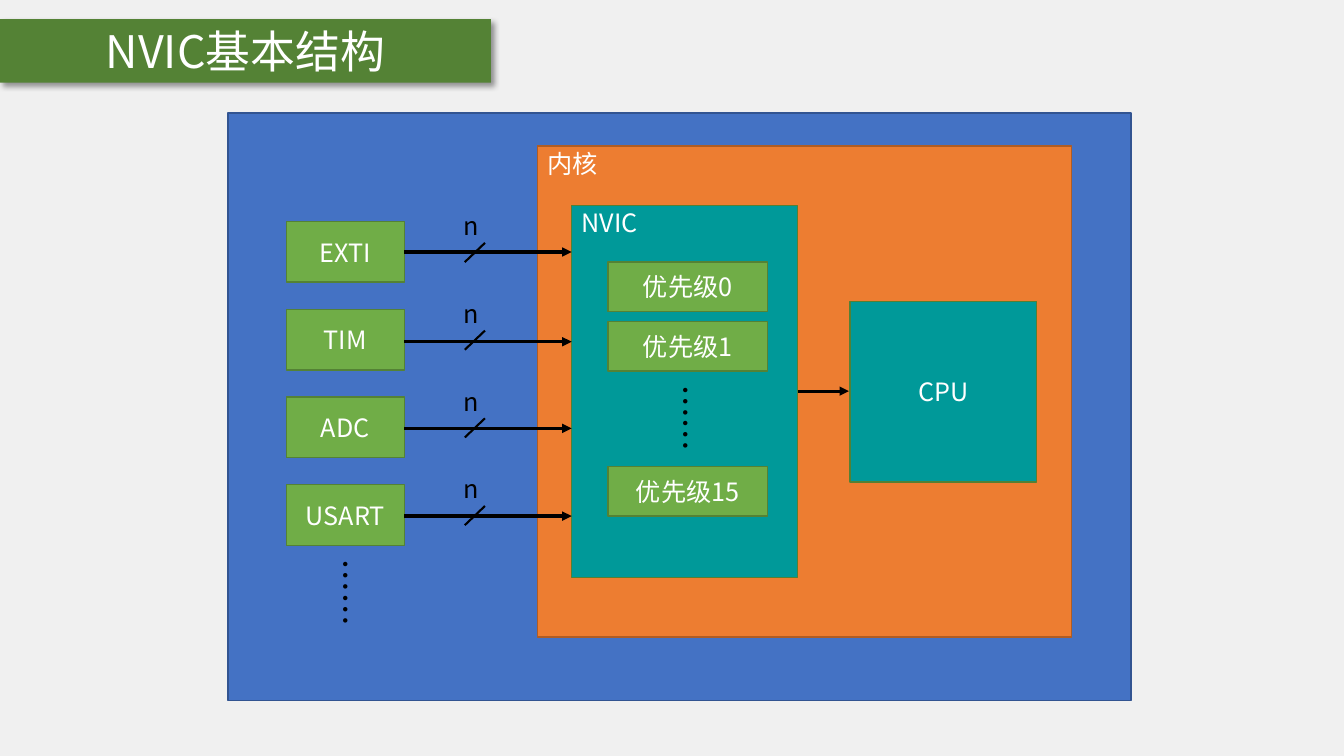
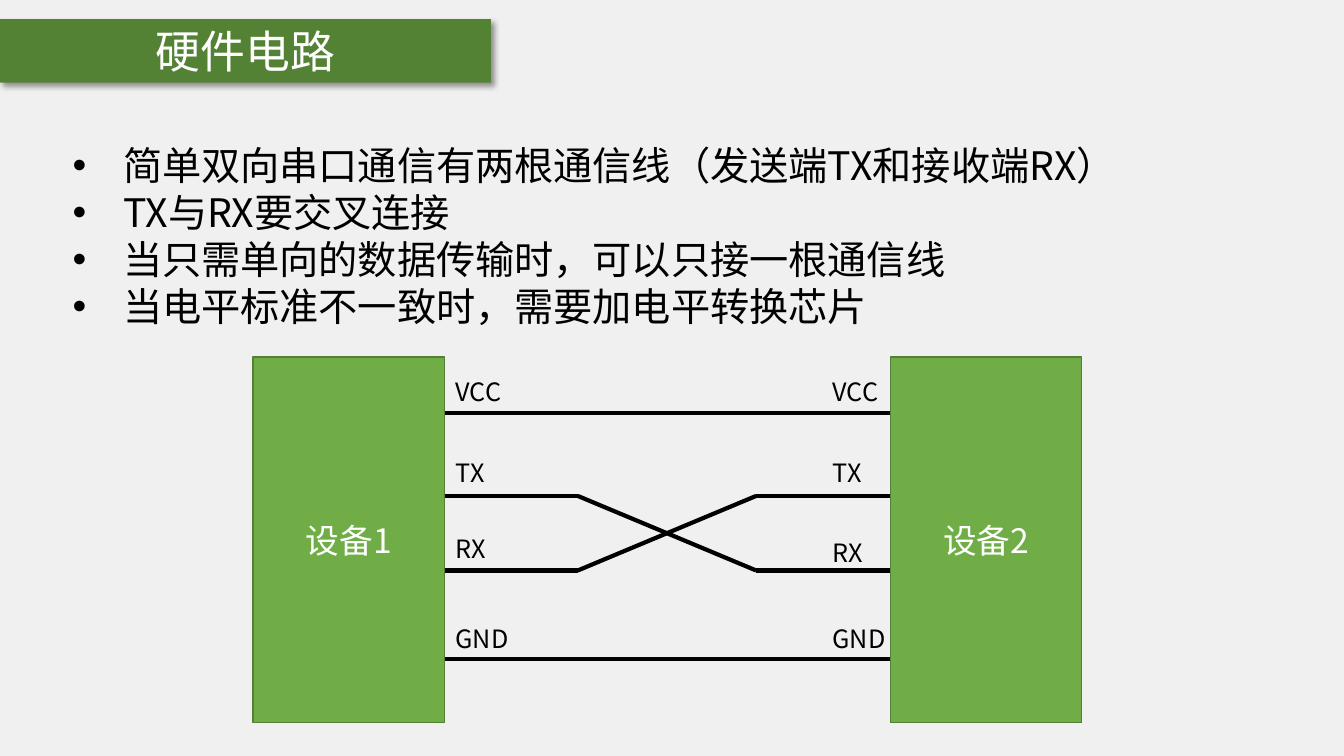
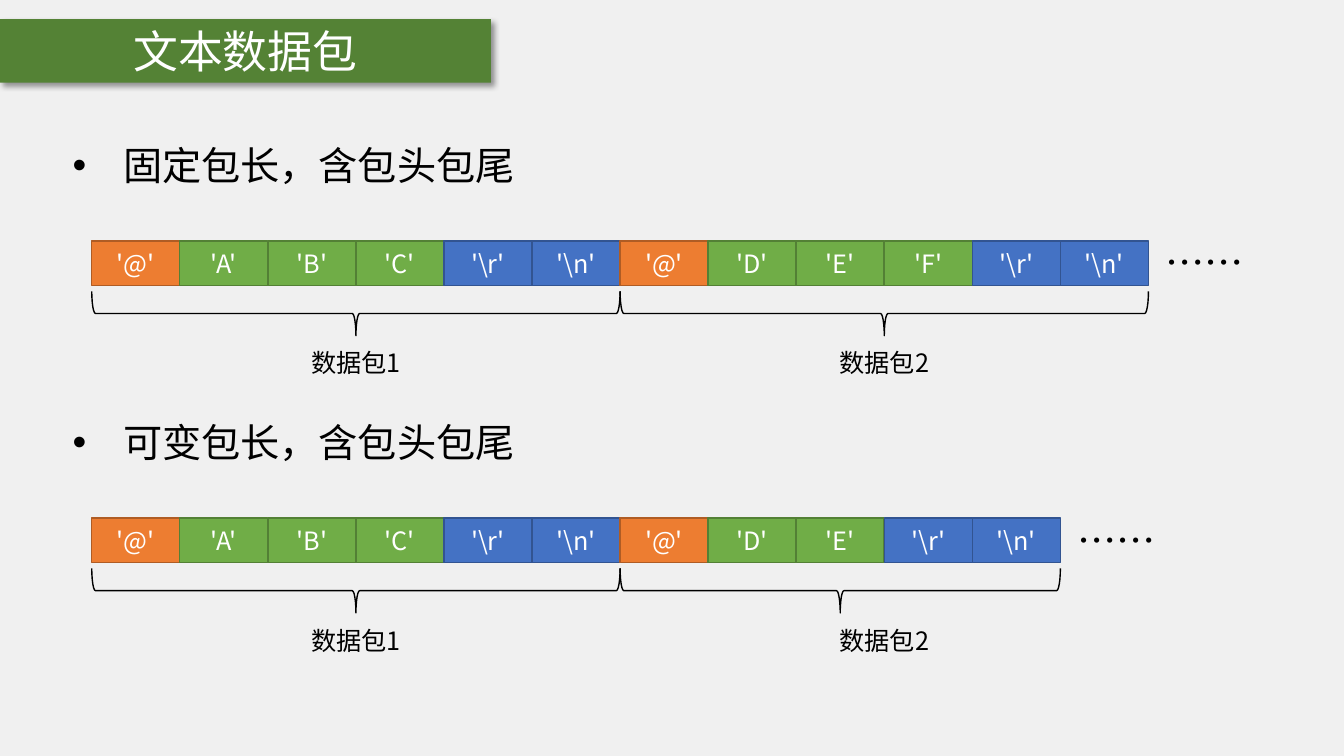
from lxml import etree
from pptx import Presentation
from pptx.dml.color import RGBColor
from pptx.enum.shapes import MSO_CONNECTOR, MSO_SHAPE
from pptx.enum.text import MSO_ANCHOR, MSO_AUTO_SIZE, PP_ALIGN
from pptx.oxml.ns import qn
from pptx.util import Pt

PX = 9144  # EMU in one px, 100 px to the inch
FONT = "Noto Sans CJK SC"

WHITE = RGBColor(0xFF, 0xFF, 0xFF)
BLACK = RGBColor(0x00, 0x00, 0x00)
PAPER = RGBColor(0xF0, 0xF0, 0xF0)
BAND = RGBColor(0x54, 0x82, 0x35)
GREEN = RGBColor(0x70, 0xAD, 0x47)
DARK_GREEN = RGBColor(0x53, 0x80, 0x35)
BLUE = RGBColor(0x44, 0x72, 0xC4)
DARK_BLUE = RGBColor(0x32, 0x54, 0x91)
ORANGE = RGBColor(0xED, 0x7D, 0x31)
DARK_ORANGE = RGBColor(0xAF, 0x5C, 0x24)
TEAL = RGBColor(0x00, 0x99, 0x99)

GREEN_BOX = (GREEN, DARK_GREEN)
BLUE_BOX = (BLUE, DARK_BLUE)
ORANGE_BOX = (ORANGE, DARK_ORANGE)
TEAL_BOX = (TEAL, DARK_GREEN)

TITLE_ONLY, ONE_LIST, TWO_LISTS = 5, 1, 3  # template layouts
TITLE_AREA = (0, 19, 487, 63)
LIST_LEFT, LIST_WIDTH = 62, 1208

# NVIC structure: peripheral and height of its interrupt line
NVIC_TITLE = "NVIC基本结构"
PERIPHERALS = [("EXTI", 250), ("TIM", 339), ("ADC", 425), ("USART", 512)]
PERIPHERAL_TOP, PERIPHERAL_PITCH = 220, 87
PRIORITIES = [("优先级0", 260), ("优先级1", 319), ("优先级15", 463)]
DOTS = "……"

# Serial wiring
WIRING_TITLE = "硬件电路"
WIRING_POINTS = [
    "简单双向串口通信有两根通信线（发送端TX和接收端RX）",
    "TX与RX要交叉连接",
    "当只需单向的数据传输时，可以只接一根通信线",
    "当电平标准不一致时，需要加电平转换芯片",
]
DEVICES = [("设备1", 251), ("设备2", 883)]
PINS = [("VCC", 368, 368), ("TX", 449, 449), ("RX", 524, 528), ("GND", 613, 613)]
WIRE_LEFT, CROSS_LEFT, CROSS_RIGHT, WIRE_RIGHT = 441, 573, 750, 883
VCC_Y, TX_Y, RX_Y, GND_Y = 410, 492, 566, 654

# Text packets
PACKET_TITLE = "文本数据包"
HEAD, TAIL = ["@"], ["\\r", "\\n"]
PACKET_ROWS = [
    ("固定包长，含包头包尾", 135, ["ABC", "DEF"]),
    ("可变包长，含包头包尾", 410, ["ABC", "DE"]),
]
ROW_LEFT, CELL_HEIGHT, BRACE_HEIGHT = 91, 44, 44
CELL_WIDTH = 1048 / 12
FULL_PACKET = 6


def emu(*lengths):
    return [round(length * PX) for length in lengths]


def write(para, text, size, color, align=PP_ALIGN.CENTER):
    para.alignment = align
    span = para.add_run()
    span.text = text
    span.font.size = Pt(size)
    span.font.color.rgb = color
    span.font.name = FONT
    etree.SubElement(span.font._element, qn("a:ea"), typeface=FONT)


def add_box(shapes, area, colors, text="", size=18, corner=False):
    """Filled rectangle; a corner text sits at the top left."""
    box = shapes.add_shape(MSO_SHAPE.RECTANGLE, *emu(*area))
    box.shadow.inherit = False
    box.fill.solid()
    box.fill.fore_color.rgb, box.line.color.rgb = colors
    box.line.width = Pt(1)
    if text:
        frame = box.text_frame
        frame.vertical_anchor = MSO_ANCHOR.TOP if corner else MSO_ANCHOR.MIDDLE
        if corner:
            frame.margin_top = 2 * PX
        align = PP_ALIGN.LEFT if corner else PP_ALIGN.CENTER
        write(frame.paragraphs[0], text, size, WHITE, align)


def add_label(page, area, text, size=18, align=PP_ALIGN.CENTER, rotation=0):
    label = page.shapes.add_textbox(*emu(*area))
    label.rotation = rotation
    label.text_frame.word_wrap = True
    write(label.text_frame.paragraphs[0], text, size, BLACK, align)


def add_line(page, start, end, width, arrow=False):
    line = page.shapes.add_connector(MSO_CONNECTOR.STRAIGHT, *emu(*start, *end))
    line.line.color.rgb = BLACK
    line.line.width = Pt(width)
    outline = line.element.spPr
    if arrow:
        etree.SubElement(outline.find(qn("a:ln")), qn("a:tailEnd"), type="triangle")
    etree.SubElement(outline, qn("a:effectLst"))


def add_brace(page, left, top, width):
    """Brace opening upwards: a right brace turned by a quarter."""
    area = (left + (width - BRACE_HEIGHT) / 2, top + (BRACE_HEIGHT - width) / 2,
            BRACE_HEIGHT, width)
    brace = page.shapes.add_shape(MSO_SHAPE.RIGHT_BRACE, *emu(*area))
    brace.rotation = 90
    brace.shadow.inherit = False
    brace.fill.background()
    brace.line.color.rgb = BLACK
    brace.line.width = Pt(1)


def place(holder, area):
    holder.left, holder.top, holder.width, holder.height = emu(*area)
    holder.text_frame.auto_size = MSO_AUTO_SIZE.NONE
    holder.text_frame.word_wrap = True


def add_page(deck, layout, title):
    page = deck.slides.add_slide(deck.slide_layouts[layout])
    band = page.shapes.title
    place(band, TITLE_AREA)
    band.fill.solid()
    band.fill.fore_color.rgb = BAND
    band.line.fill.background()
    effects = etree.SubElement(band.element.spPr, qn("a:effectLst"))
    shadow = etree.SubElement(effects, qn("a:outerShdw"), blurRad=str(Pt(4)),
                              dist=str(Pt(3)), dir="2700000", algn="tl", rotWithShape="0")
    tint = etree.SubElement(shadow, qn("a:srgbClr"), val=str(BLACK))
    etree.SubElement(tint, qn("a:alpha"), val="40000")
    band.text_frame.vertical_anchor = MSO_ANCHOR.MIDDLE
    write(band.text_frame.paragraphs[0], title, 32, WHITE)
    return page


def fill_list(holder, top, height, points):
    place(holder, (LIST_LEFT, top, LIST_WIDTH, height))
    frame = holder.text_frame
    frame.vertical_anchor = MSO_ANCHOR.TOP
    for index, point in enumerate(points):
        para = frame.add_paragraph() if index else frame.paragraphs[0]
        para.space_before = para.space_after = Pt(0)
        para.line_spacing = 1.0
        marks = para._p.get_or_add_pPr()
        marks.set("marL", str(50 * PX))
        marks.set("indent", str(-50 * PX))
        etree.SubElement(marks, qn("a:buFont"), typeface="Arial")
        etree.SubElement(marks, qn("a:buChar"), char="•")
        write(para, point, 28, BLACK, PP_ALIGN.LEFT)


def build_nvic(deck):
    page = add_page(deck, TITLE_ONLY, NVIC_TITLE)
    add_box(page.shapes, (226, 112, 896, 583), BLUE_BOX)
    add_box(page.shapes, (533, 145, 530, 487), ORANGE_BOX, "内核", corner=True)
    add_box(page.shapes, (567, 204, 224, 369), TEAL_BOX, "NVIC", corner=True)
    add_box(page.shapes, (843, 299, 185, 179), TEAL_BOX, "CPU")
    for index, (name, line_y) in enumerate(PERIPHERALS):
        top = PERIPHERAL_TOP + index * PERIPHERAL_PITCH
        add_box(page.shapes, (284, top, 117, 60), (GREEN, BAND), name)
        add_line(page, (401, line_y), (567, line_y), 2.25, arrow=True)
        add_label(page, (436, top - 16, 62, 40), "n")
        add_line(page, (461, top + 40), (481, top + 21), 1.5)
    for name, top in PRIORITIES:
        add_box(page.shapes, (603, top, 158, 49), (GREEN, BAND), name)
    for left, top in [(298, 563), (635, 390)]:
        add_label(page, (left, top, 88, 50), DOTS, 24, rotation=270)
    add_line(page, (791, 388), (842, 388), 2.25, arrow=True)


def build_wiring(deck):
    page = add_page(deck, ONE_LIST, WIRING_TITLE)
    fill_list(page.placeholders[1], 135, 199, WIRING_POINTS)
    for name, left in DEVICES:
        add_box(page.shapes, (left, 354, 190, 363), GREEN_BOX, name, 24)
    for y in (VCC_Y, GND_Y):
        add_line(page, (WIRE_LEFT, y), (WIRE_RIGHT, y), 3)
    for y, far_y in [(TX_Y, RX_Y), (RX_Y, TX_Y)]:
        add_line(page, (WIRE_LEFT, y), (CROSS_LEFT, y), 3)
        add_line(page, (CROSS_LEFT, y), (CROSS_RIGHT, far_y), 3)
        add_line(page, (CROSS_RIGHT, far_y), (WIRE_RIGHT, far_y), 3)
    for name, left_top, right_top in PINS:
        for left, top in [(442, left_top), (816, right_top)]:
            add_label(page, (left, top, 83, 40), name, align=PP_ALIGN.LEFT)


def build_packets(deck):
    page = add_page(deck, TWO_LISTS, PACKET_TITLE)
    for holder_id, (heading, top, payloads) in enumerate(PACKET_ROWS, start=1):
        fill_list(page.placeholders[holder_id], top, 57, [heading])
        row_top = top + 104
        cells = page.shapes.add_group_shape().shapes
        left = ROW_LEFT
        for number, payload in enumerate(payloads, start=1):
            start = left
            for tokens, colors in [(HEAD, ORANGE_BOX), (payload, GREEN_BOX), (TAIL, BLUE_BOX)]:
                for token in tokens:
                    area = (left, row_top, CELL_WIDTH, CELL_HEIGHT)
                    add_box(cells, area, colors, f"'{token}'")
                    left += CELL_WIDTH
            add_brace(page, start, row_top + 50, left - start)
            middle = start + FULL_PACKET * CELL_WIDTH / 2
            add_label(page, (middle - 66, row_top + 101, 132, 40), f"数据包{number}")
        add_label(page, (left, row_top - 7, 112, 57), DOTS, 28)


def main():
    deck = Presentation()
    deck.slide_width, deck.slide_height = emu(1333, 750)
    paper = deck.slide_master.background.fill
    paper.solid()
    paper.fore_color.rgb = PAPER
    build_nvic(deck)
    build_wiring(deck)
    build_packets(deck)
    deck.save("out.pptx")


if __name__ == "__main__":
    main()
